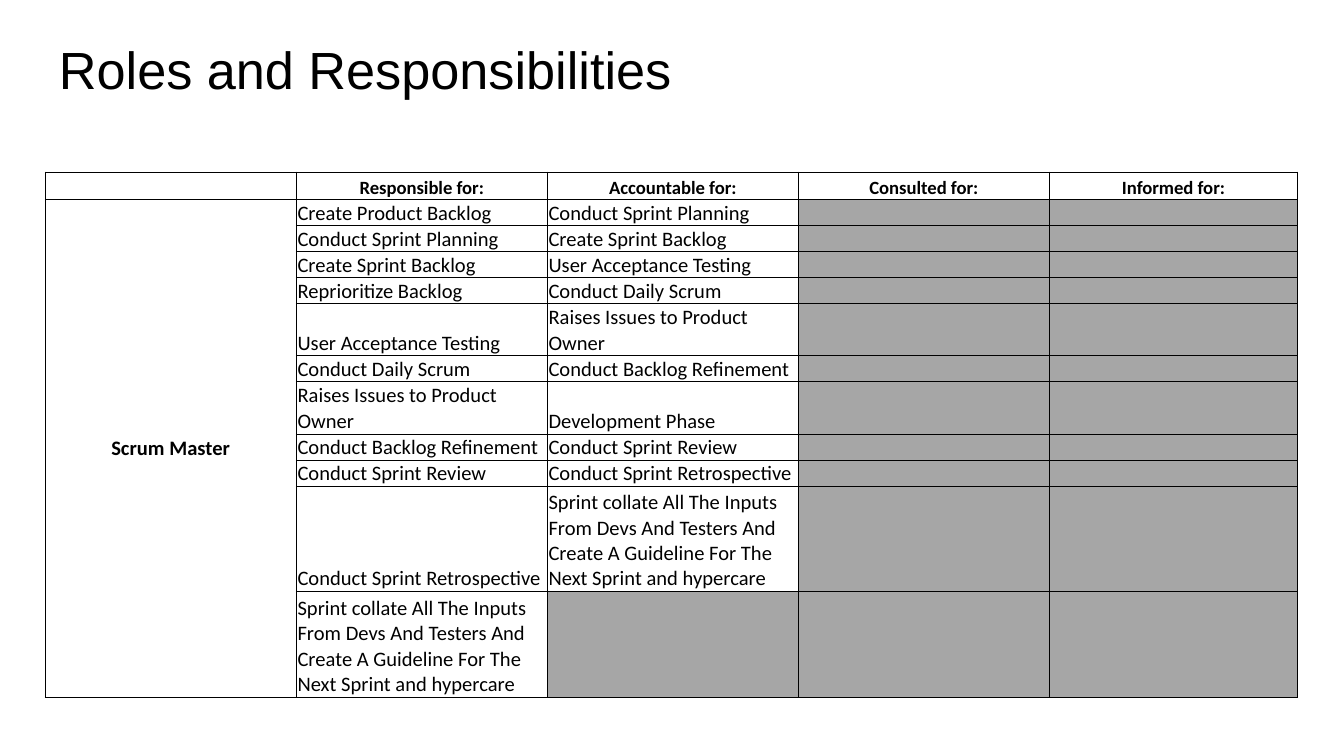
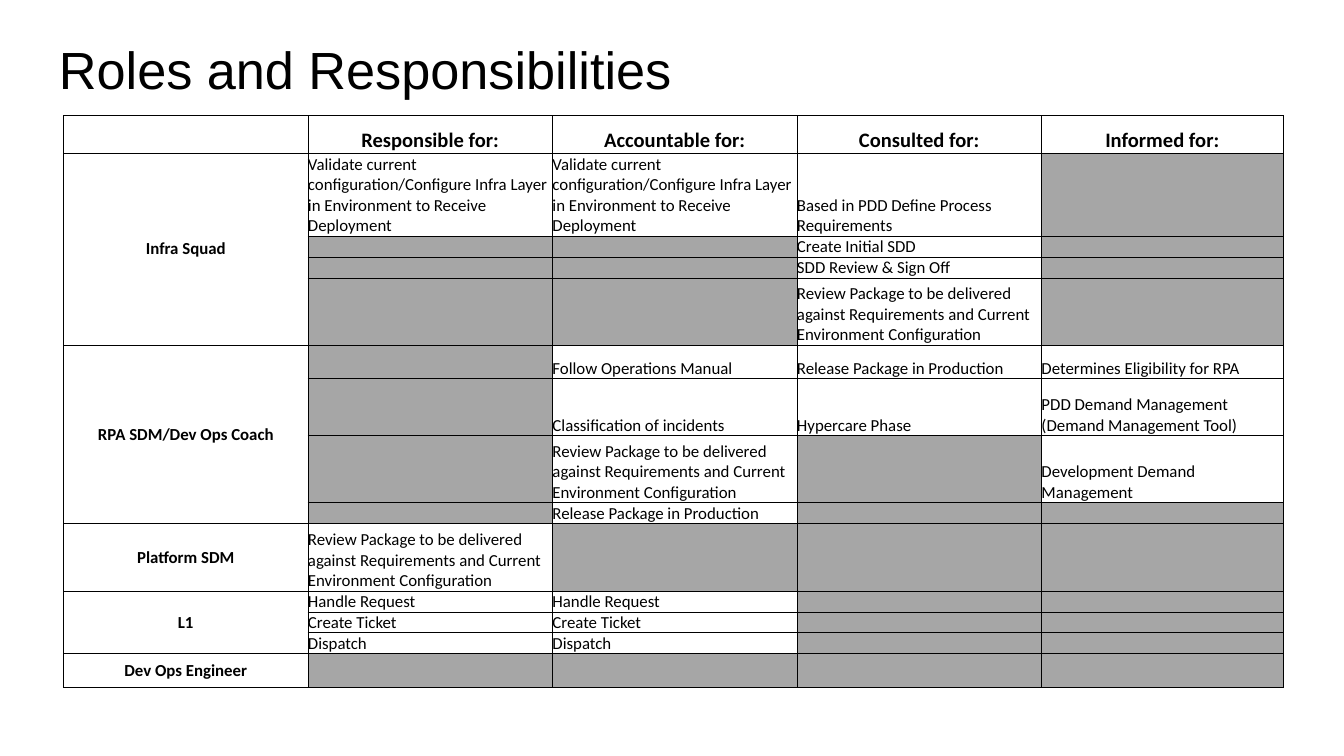
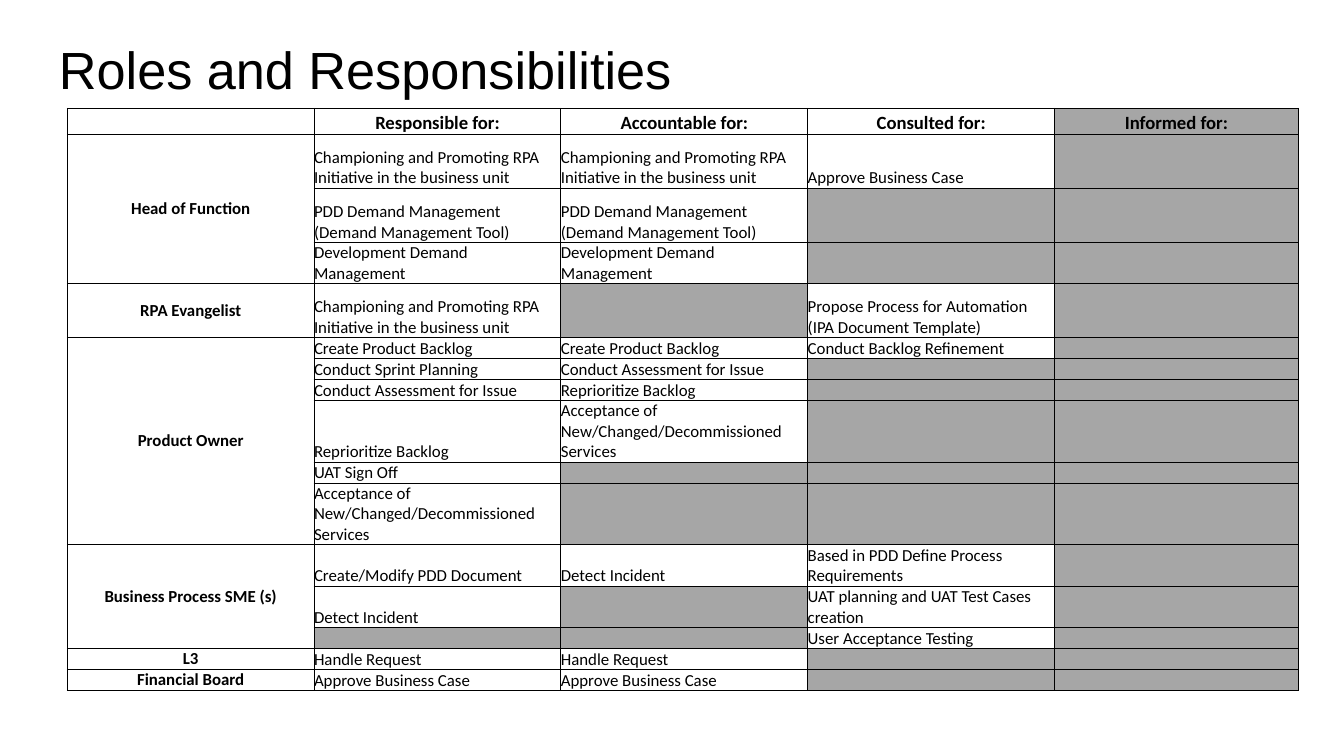
from dataclasses import dataclass

from lxml.etree import SubElement
from pptx import Presentation
from pptx.dml.color import RGBColor
from pptx.enum.text import MSO_ANCHOR as Anchor, PP_ALIGN as Align
from pptx.oxml.ns import qn
from pptx.util import Pt


@dataclass(frozen=True)
class Theme:
    ink: str = "000000"
    unused: str = "A6A6A6"
    title_font: str = "Arial"
    table_font: str = "Calibri"
    title_size: float = 28
    empty_size: float = 5
    border: float = 0.5


theme = Theme()


def add_text(para, text, font, size, bold=False):
    span = para.add_run()
    span.text = text
    span.font.name = font
    span.font.size = Pt(size)
    span.font.bold = bold
    span.font.color.rgb = RGBColor.from_string(theme.ink)


def style_cell(cell, inset, fill=None):
    cell.margin_left = cell.margin_right = cell.margin_top = Pt(inset)
    cell.margin_bottom = Pt(0)
    cell.vertical_anchor = Anchor.BOTTOM
    properties = cell._tc.get_or_add_tcPr()
    for side in ("a:lnL", "a:lnR", "a:lnT", "a:lnB"):
        line = SubElement(properties, qn(side), w=str(Pt(theme.border)))
        SubElement(SubElement(line, qn("a:solidFill")), qn("a:srgbClr"), val=theme.ink)
    if fill:
        cell.fill.solid()
        cell.fill.fore_color.rgb = RGBColor.from_string(fill)
    else:
        cell.fill.background()


headings = ["Responsible for:", "Accountable for:", "Consulted for:", "Informed for:"]
guideline = (
    "Sprint collate All The Inputs From Devs And Testers And "
    "Create A Guideline For The Next Sprint and hypercare"
)
validate = (
    "Validate current configuration/Configure Infra Layer "
    "in Environment to Receive Deployment"
)
review = (
    "Review Package to be delivered against Requirements "
    "and Current Environment Configuration"
)
define = "Based in PDD Define Process Requirements"
champion = "Championing and Promoting RPA Initiative in the business unit"
demand_tool = "PDD Demand Management (Demand Management Tool)"
demand = "Development Demand Management"
acceptance = "Acceptance of New/Changed/Decommissioned Services"

matrices = [
    {
        "left": 24.25, "top": 92.15, "widths": [134.5] * 4 + [133], "inset": 0.7,
        "heading_height": 14.5, "heading_size": 10, "body_size": 11, "unused_headings": [],
        "roles": [
            ("Scrum Master", [
                (14, "Create Product Backlog", "Conduct Sprint Planning"),
                (14, "Conduct Sprint Planning", "Create Sprint Backlog"),
                (14, "Create Sprint Backlog", "User Acceptance Testing"),
                (14, "Reprioritize Backlog", "Conduct Daily Scrum"),
                (28, "User Acceptance Testing", "Raises Issues to Product Owner"),
                (14, "Conduct Daily Scrum", "Conduct Backlog Refinement"),
                (28, "Raises Issues to Product Owner", "Development Phase"),
                (14, "Conduct Backlog Refinement", "Conduct Sprint Review"),
                (14, "Conduct Sprint Review", "Conduct Sprint Retrospective"),
                (56.5, "Conduct Sprint Retrospective", guideline),
                (56.5, guideline),
            ]),
        ],
    },
    {
        "left": 34, "top": 62, "widths": [131] * 4 + [129.5], "inset": 0,
        "heading_height": 20, "heading_size": 11, "body_size": 9, "unused_headings": [],
        "roles": [
            ("Infra Squad", [
                (44.5, validate, validate, define),
                (11.25, "", "", "Create Initial SDD"),
                (11.25, "", "", "SDD Review & Sign Off"),
                (36, "", "", review),
            ]),
            ("RPA SDM/Dev Ops Coach", [
                (18, "", "Follow Operations Manual", "Release Package in Production",
                 "Determines Eligibility for RPA"),
                (30.5, "", "Classification of incidents", "Hypercare Phase", demand_tool),
                (36, "", review, "", demand),
                (11.25, "", "Release Package in Production"),
            ]),
            ("Platform SDM", [(36, review)]),
            ("L1", [
                (11.25, "Handle Request", "Handle Request"),
                (11.25, "Create Ticket", "Create Ticket"),
                (11.25, "Dispatch", "Dispatch"),
            ]),
            ("Dev Ops Engineer", [(18,)]),
        ],
    },
    {
        "left": 36, "top": 58, "widths": [132.25] * 4 + [130.5], "inset": 0,
        "heading_height": 14, "heading_size": 10, "body_size": 9,
        "unused_headings": ["Informed for:"],
        "roles": [
            ("Head of Function", [
                (29, champion, champion, "Approve Business Case"),
                (29, demand_tool, demand_tool),
                (22, demand, demand),
            ]),
            ("RPA Evangelist", [
                (29, champion, "", "Propose Process for Automation (IPA Document Template)"),
            ]),
            ("Product Owner", [
                (11.25, "Create Product Backlog", "Create Product Backlog",
                 "Conduct Backlog Refinement"),
                (11.25, "Conduct Sprint Planning", "Conduct Assessment for Issue"),
                (11.25, "Conduct Assessment for Issue", "Reprioritize Backlog"),
                (33, "Reprioritize Backlog", acceptance),
                (11.25, "UAT Sign Off"),
                (33, acceptance),
            ]),
            ("Business Process SME (s)", [
                (22.25, "Create/Modify PDD Document", "Detect Incident", define),
                (22.25, "Detect Incident", "", "UAT planning and UAT Test Cases creation"),
                (11.25, "", "", "User Acceptance Testing"),
            ]),
            ("L3", [(11.25, "Handle Request", "Handle Request")]),
            ("Financial Board", [(11.25, "Approve Business Case", "Approve Business Case")]),
        ],
    },
]

deck = Presentation()
deck.slide_width, deck.slide_height = Pt(720), Pt(405)

for matrix in matrices:
    page = deck.slides.add_slide(deck.slide_layouts[6])

    title_box = page.shapes.add_textbox(Pt(24.5), Pt(13), Pt(671), Pt(45))
    frame = title_box.text_frame
    frame.word_wrap = True
    frame.margin_left = frame.margin_right = frame.margin_top = frame.margin_bottom = Pt(7.2)
    add_text(frame.paragraphs[0], "Roles and Responsibilities", theme.title_font, theme.title_size)

    heights = [matrix["heading_height"]]
    heights += [duty[0] for role, duties in matrix["roles"] for duty in duties]
    widths = matrix["widths"]
    table = page.shapes.add_table(
        len(heights), len(widths), Pt(matrix["left"]), Pt(matrix["top"]),
        Pt(sum(widths)), Pt(sum(heights)),
    ).table
    table.first_row = table.horz_banding = False
    for column, width in zip(table.columns, widths):
        column.width = Pt(width)
    for row, height in zip(table.rows, heights):
        row.height = Pt(height)

    style_cell(table.cell(0, 0), 0)
    for column, heading in enumerate(headings, 1):
        cell = table.cell(0, column)
        style_cell(cell, 0, theme.unused if heading in matrix["unused_headings"] else None)
        para = cell.text_frame.paragraphs[0]
        para.alignment = Align.CENTER
        add_text(para, heading, theme.table_font, matrix["heading_size"], True)

    first = 1
    for role, duties in matrix["roles"]:
        for index, (height, *texts) in enumerate(duties, first):
            style_cell(table.cell(index, 0), matrix["inset"])
            texts += [""] * (len(headings) - len(texts))
            for column, text in enumerate(texts, 1):
                cell = table.cell(index, column)
                style_cell(cell, matrix["inset"], None if text else theme.unused)
                if text:
                    add_text(cell.text_frame.paragraphs[0], text, theme.table_font, matrix["body_size"])
        role_cell = table.cell(first, 0)
        role_cell.vertical_anchor = Anchor.MIDDLE
        para = role_cell.text_frame.paragraphs[0]
        para.alignment = Align.CENTER
        add_text(para, role, theme.table_font, matrix["body_size"], True)
        if len(duties) > 1:
            role_cell.merge(table.cell(first + len(duties) - 1, 0))
        first += len(duties)

    for cell in table.iter_cells():
        para = cell.text_frame.paragraphs[0]
        if not para.runs:
            SubElement(para._p, qn("a:endParaRPr"), sz=str(theme.empty_size * 100))

deck.save("out.pptx")
